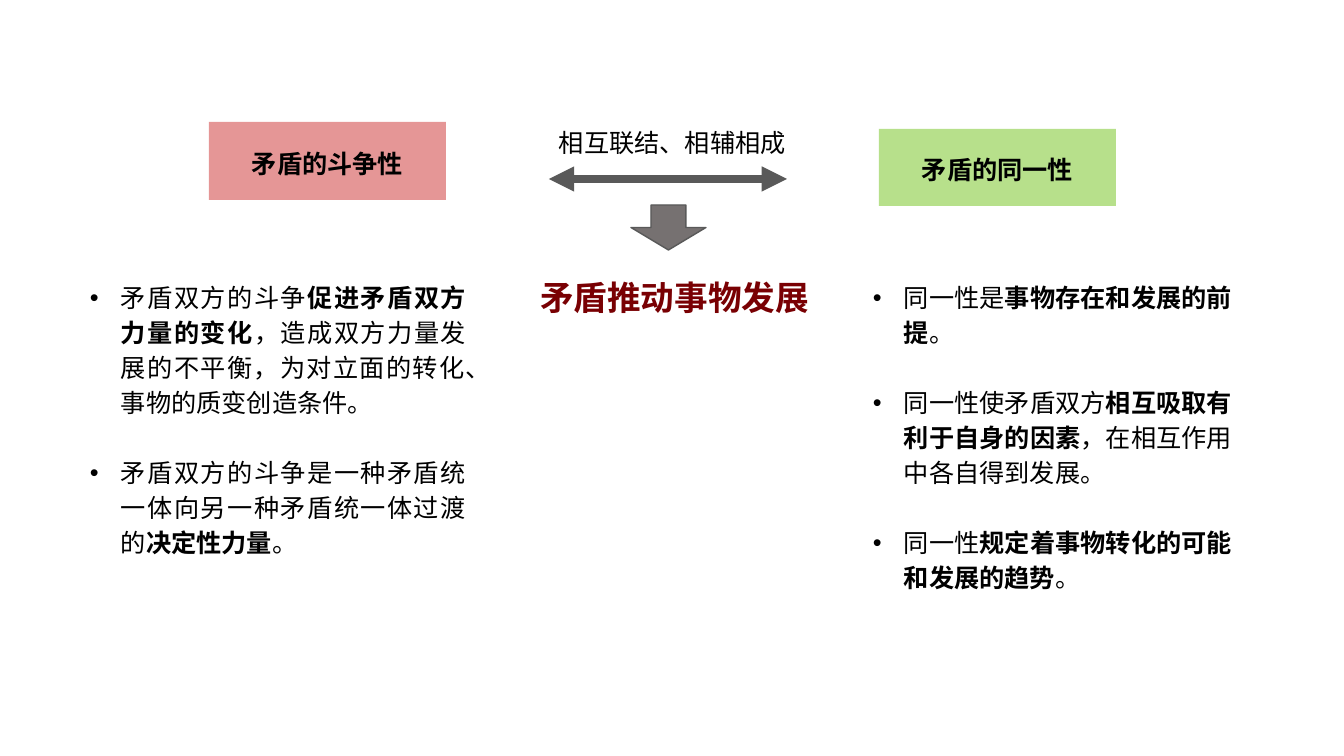
from lxml import etree
from pptx import Presentation
from pptx.dml.color import RGBColor
from pptx.enum.shapes import MSO_CONNECTOR, MSO_SHAPE
from pptx.enum.text import MSO_ANCHOR, MSO_AUTO_SIZE, PP_ALIGN
from pptx.oxml.ns import qn
from pptx.util import Pt

LINE = MSO_CONNECTOR.STRAIGHT
RECT, DOWN = MSO_SHAPE.RECTANGLE, MSO_SHAPE.DOWN_ARROW
TOP, MIDDLE = MSO_ANCHOR.TOP, MSO_ANCHOR.MIDDLE
LEFT, CENTER, JUSTIFY = PP_ALIGN.LEFT, PP_ALIGN.CENTER, PP_ALIGN.JUSTIFY
FIXED = MSO_AUTO_SIZE.NONE

COLORS = {"black": "000000", "red": "C00000", "green": "92D050",
          "dark": "595959", "gray": "767171", "wine": "790003"}

STRIFE = [
    [("矛盾双方的斗争", False), ("促进矛盾双方力量的变化", True),
     ("，造成双方力量发展的不平衡，为对立面的转化、事物的质变创造条件。", False)],
    [("矛盾双方的斗争是一种矛盾统一体向另一种矛盾统一体过渡的", False),
     ("决定性力量", True), ("。", False)],
]
UNITY = [
    [("同一性是", False), ("事物存在和发展的前提", True), ("。", False)],
    [("同一性使矛盾双方", False), ("相互吸取有利于自身的因素", True),
     ("，在相互作用中各自得到发展。", False)],
    [("同一性", False), ("规定着事物转化的可能和发展的趋势", True), ("。", False)],
]


def px(n):
    return round(n * 914400 / 100.8)


def color(name):
    return RGBColor.from_string(COLORS[name])


class Board:
    font = "Noto Sans CJK SC"
    size = 18
    pitch = Pt(25)

    def __init__(self):
        self.deck = Presentation()
        self.deck.slide_width, self.deck.slide_height = px(1344), px(756)
        self.slide = self.deck.slides.add_slide(self.deck.slide_layouts[5])
        self.shapes = self.slide.shapes

    def style(self, para, align, size=size, tint="black", bold=None):
        para.alignment = align
        para.line_spacing = self.pitch
        font = para.font
        font.name, font.size, font.bold = self.font, Pt(size), bold
        font.color.rgb = color(tint)
        base = para._p.pPr.find(qn("a:defRPr"))
        etree.SubElement(base, qn("a:ea"), typeface=self.font)

    def frame(self, shape, anchor=TOP):
        frame = shape.text_frame
        frame.word_wrap = True
        frame.auto_size = FIXED
        frame.vertical_anchor = anchor
        return frame

    def title(self, box, text):
        shape = self.shapes.title
        shape.left, shape.top, shape.width, shape.height = map(px, box)
        para = self.frame(shape).paragraphs[0]
        para.text = text
        self.style(para, LEFT, 24, "wine", True)

    def shape(self, kind, box, fill):
        shape = self.shapes.add_shape(kind, *map(px, box))
        shape.shadow.inherit = False
        shape.fill.solid()
        shape.fill.fore_color.rgb = color(fill)
        return shape

    def label(self, box, fill, alpha, text):
        shape = self.shape(RECT, box, fill)
        shape.line.fill.background()
        tone = shape._element.spPr.find(".//" + qn("a:srgbClr"))
        etree.SubElement(tone, qn("a:alpha"), val=str(alpha * 1000))
        para = self.frame(shape, MIDDLE).paragraphs[0]
        para.text = text
        self.style(para, CENTER, bold=True)

    def arrow(self, box, fill, edge):
        shape = self.shape(DOWN, box, fill)
        shape.adjustments[0], shape.adjustments[1] = 0.465, 0.5
        shape.line.color.rgb = color(edge)
        shape.line.width = Pt(1)

    def link(self, start, end, tint, width):
        line = self.shapes.add_connector(LINE, *map(px, start + end))
        line.line.color.rgb = color(tint)
        line.line.width = Pt(width)
        for tip in ("a:headEnd", "a:tailEnd"):
            etree.SubElement(line.line._ln, qn(tip), type="triangle")
        etree.SubElement(line._element.spPr, qn("a:effectLst"))

    def note(self, box, text):
        para = self.frame(self.shapes.add_textbox(*map(px, box))).paragraphs[0]
        para.text = text
        self.style(para, LEFT)
        para.line_spacing = 1.0

    def points(self, box, items):
        frame = self.frame(self.shapes.add_textbox(*map(px, box)))
        for i, item in enumerate(items):
            para = frame.add_paragraph() if i else frame.paragraphs[0]
            for text, bold in item:
                run = para.add_run()
                run.text, run.font.bold = text, bold
            self.style(para, JUSTIFY)
            if i:
                para.space_before = self.pitch
            props = para._p.pPr
            props.set("marL", str(px(31)))
            props.set("indent", str(px(-31)))
            base = props.find(qn("a:defRPr"))
            for tag, key, val in (("a:buFont", "typeface", "Arial"),
                                  ("a:buChar", "char", "•")):
                mark = etree.Element(qn(tag))
                mark.set(key, val)
                base.addprevious(mark)


def main():
    board = Board()
    board.label((209, 122, 237, 78), "red", 41, "矛盾的斗争性")
    board.label((879, 129, 237, 77), "green", 66, "矛盾的同一性")
    board.link((549, 179), (787, 179), "dark", 6)
    board.note((549, 122, 264, 40), "相互联结、相辅相成")
    board.arrow((631, 205, 75, 45), "gray", "dark")
    board.title((530, 277, 308, 45), "矛盾推动事物发展")
    board.points((863, 273, 379, 326), UNITY)
    board.points((80, 273, 396, 290), STRIFE)
    board.deck.save("out.pptx")


if __name__ == "__main__":
    main()
